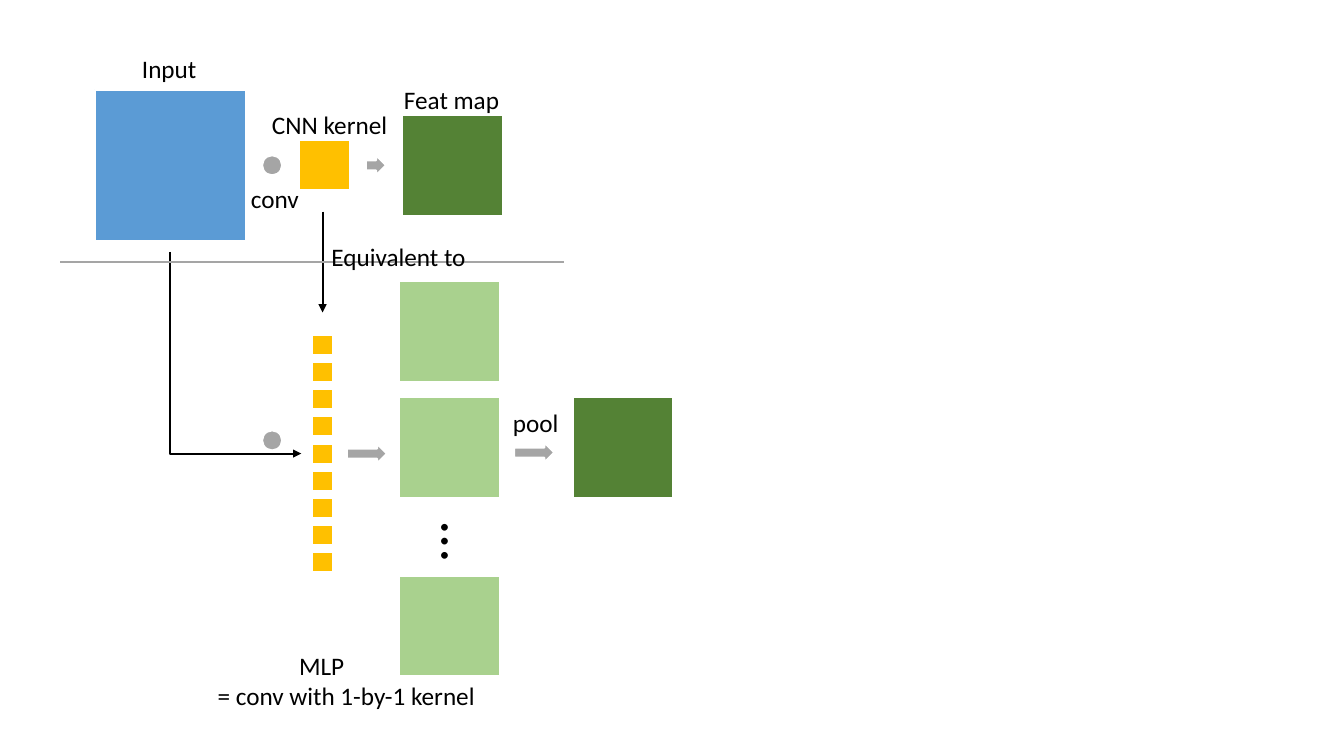
from lxml import etree
from pptx import Presentation
from pptx.dml.color import RGBColor
from pptx.enum import shapes, text
from pptx.oxml.ns import qn
from pptx.util import Pt

BLACK, WHITE, GRAY = "000000", "FFFFFF", "A5A5A5"
BLUE, YELLOW, GREEN, LIGHT_GREEN = "5B9BD5", "FFC000", "548235", "A9D18E"
RECT, DOT, ARROW = (shapes.MSO_SHAPE.RECTANGLE, shapes.MSO_SHAPE.OVAL,
                    shapes.MSO_SHAPE.RIGHT_ARROW)

# Labels: wording, left, top, width
LABELS = [
    ("Equivalent to", 229.7, 168.5, 111.6),
    ("CNN kernel", 187.2, 74.2, 97.9),
    ("conv", 172.1, 127.4, 49),
    ("Input", 94.3, 34.6, 54),
    ("Feat map", 281.5, 56.9, 83.5),
    ("pool", 359.3, 287.3, 47.5),
    ("MLP", 206.6, 460.8, 46.8),
    ("= conv with 1-by-1 kernel", 148.3, 482.4, 200.2),
]
LABEL_HEIGHT = 28.8

# Blocks: kind, colour, left, top, width, height
MAP, CELL = 72, 14.4
CELL_COUNT, CELL_LEFT, CELL_TOP, CELL_STEP = 9, 223.2, 239, 19.45
CONVOLUTION = [
    (RECT, BLUE, 67.7, 64.1, 108, 108),
    (RECT, YELLOW, 213.8, 100.1, 36, 36),
    (DOT, GRAY, 187.2, 110.9, CELL, CELL),
    (ARROW, GRAY, 261.4, 110.9, CELL, CELL),
    (RECT, GREEN, 287.3, 82.1, MAP, MAP),
]
KERNEL_CELLS = [(RECT, YELLOW, CELL_LEFT, CELL_TOP + i * CELL_STEP, CELL, CELL)
                for i in range(CELL_COUNT)]
FEATURE_MAPS = [(RECT, LIGHT_GREEN, 285.1, top, MAP, MAP)
                for top in (200.9, 283.7, 411.1)]
POOLING = [
    (DOT, GRAY, 187.2, 307.4, CELL, CELL),
    (ARROW, GRAY, 247.7, 316.8, 28.8, CELL),
    (ARROW, GRAY, 367.2, 316.1, 28.8, CELL),
    (RECT, GREEN, 409, 283.7, MAP, MAP),
]

presentation = Presentation()
presentation.slide_width, presentation.slide_height = Pt(960), Pt(540)
slide = presentation.slides.add_slide(presentation.slide_layouts[6])


def rgb(value):
    return RGBColor.from_string(value)


def add_line(kind, color, *ends, arrow=False):
    line = slide.shapes.add_connector(kind, *map(Pt, ends))
    line.line.color.rgb = rgb(color)
    line.line.width = Pt(1.5)
    properties = line._element.spPr
    if arrow:
        outline = properties.find(qn("a:ln"))
        etree.SubElement(outline, qn("a:tailEnd"), type="triangle")
    etree.SubElement(properties, qn("a:effectLst"))
    return properties


def add_block(kind, color, *box):
    shape = slide.shapes.add_shape(kind, *map(Pt, box))
    shape.shadow.inherit = False
    shape.fill.solid()
    shape.fill.fore_color.rgb = rgb(color)
    shape.line.color.rgb = rgb(WHITE)
    shape.line.width = Pt(1.5)


def add_text(wording, *box, size=18, wrap=False):
    shape = slide.shapes.add_textbox(*map(Pt, box))
    shape.text_frame.word_wrap = wrap
    shape.text_frame.auto_size = text.MSO_AUTO_SIZE.SHAPE_TO_FIT_TEXT
    paragraph = shape.text_frame.paragraphs[0]
    paragraph.text = wording
    paragraph.font.name = "Calibri"
    paragraph.font.size = Pt(size)
    paragraph.font.color.rgb = rgb(BLACK)
    return shape


# Kernel arrow, input arrow and divider
STRAIGHT, ELBOW = shapes.MSO_CONNECTOR.STRAIGHT, shapes.MSO_CONNECTOR.ELBOW
add_line(STRAIGHT, BLACK, 230.4, 151.2, 230.4, 223.2, arrow=True)

# The input arrow has a single bend: down, then right
input_arrow = add_line(ELBOW, BLACK, 240.5, 205.2, 96.5, 298.8, arrow=True)
input_arrow.find(qn("a:xfrm")).set("rot", str(270 * 60000))
input_arrow.find(qn("a:prstGeom")).set("prst", "bentConnector2")

add_line(STRAIGHT, GRAY, 43.2, 187.2, 403.2, 187.2)

# Blocks of both halves
for block in CONVOLUTION + KERNEL_CELLS + FEATURE_MAPS + POOLING:
    add_block(*block)

# Labels and the vertical ellipsis
for wording, left, top, width in LABELS:
    add_text(wording, left, top, width, LABEL_HEIGHT)
add_text("…", 311.8, 357.8, 38.9, 55.4, size=40, wrap=True).rotation = 90

presentation.save("out.pptx")
